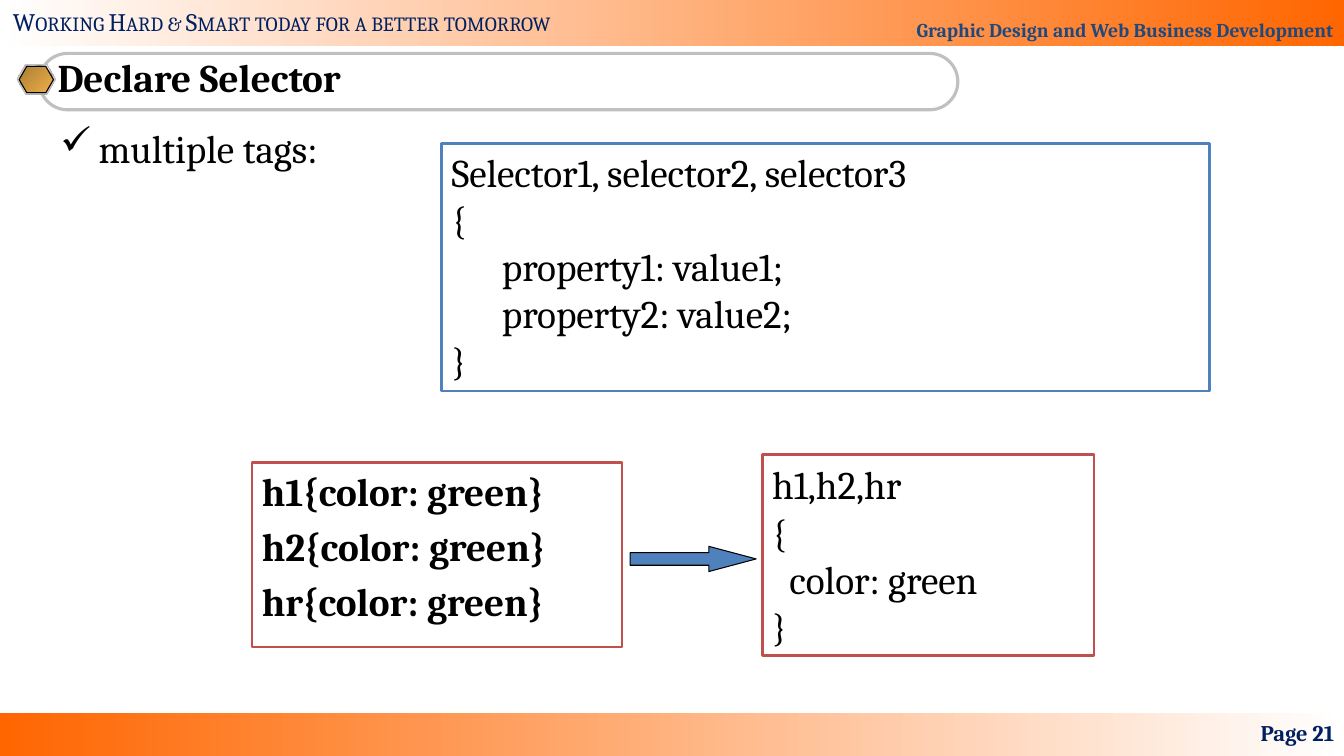
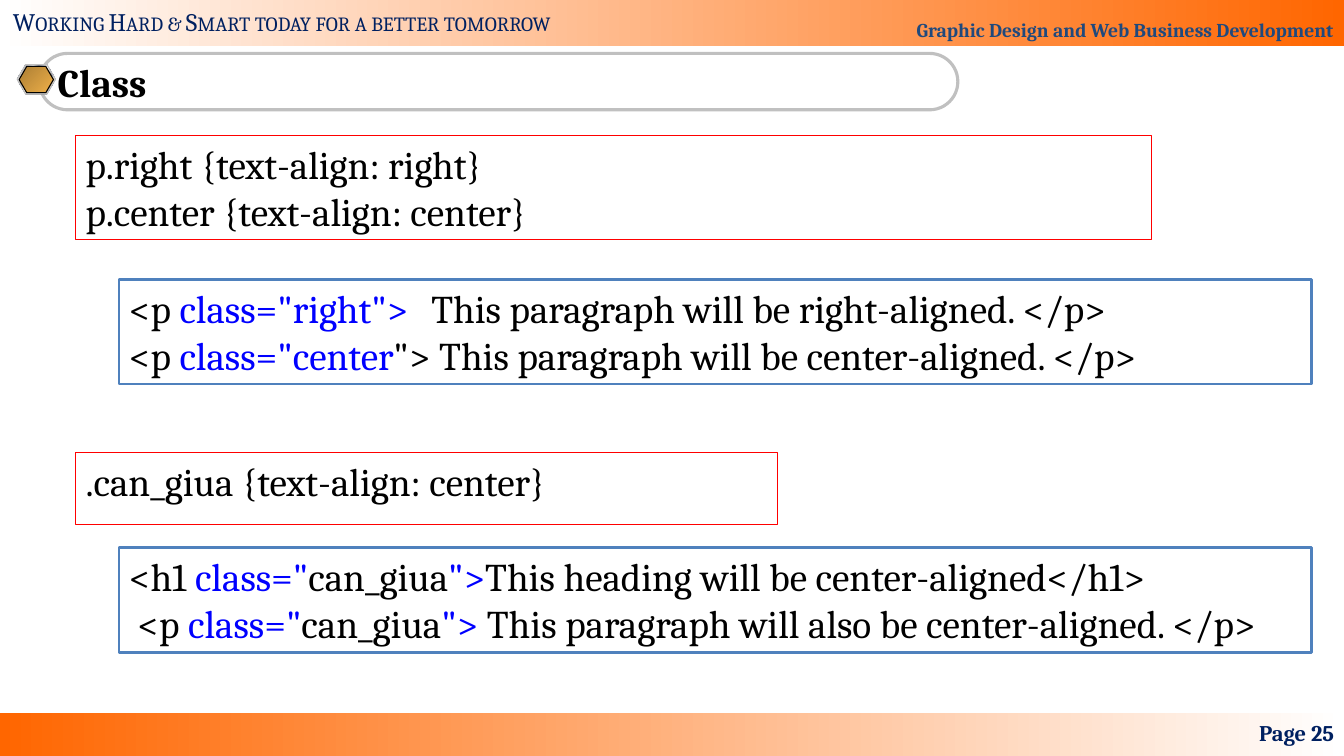
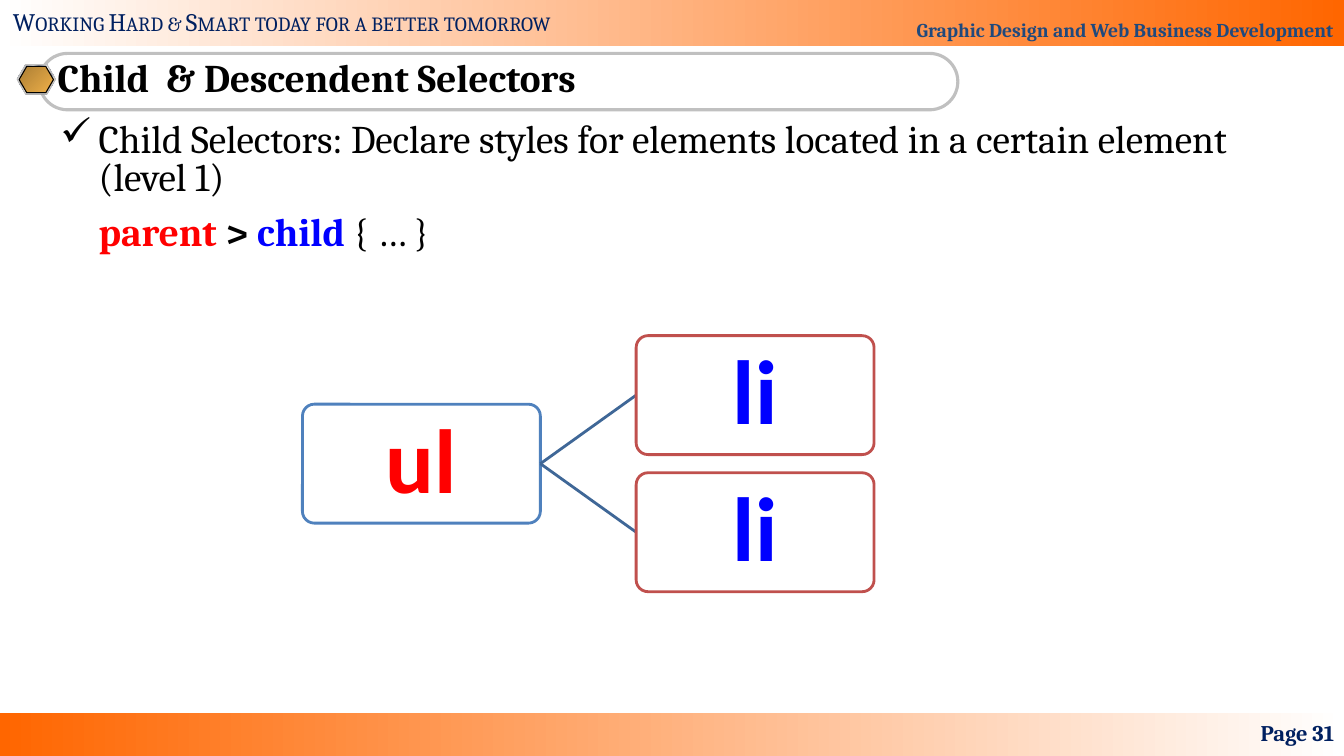
"""Build three lecture slides on CSS selectors."""
from lxml.etree import SubElement
from pptx import Presentation
from pptx.dml.color import RGBColor
from pptx.enum.shapes import MSO_CONNECTOR, MSO_SHAPE as SHAPE
from pptx.enum.text import MSO_ANCHOR as ANCHOR, PP_ALIGN as ALIGN
from pptx.oxml.ns import qn
from pptx.util import Emu, Pt

PX = 9144
WIDTH, HEIGHT = 1333, 750

WHITE = RGBColor(0xFF, 0xFF, 0xFF)
BLACK = RGBColor(0x00, 0x00, 0x00)
ORANGE = RGBColor(0xFF, 0x66, 0x00)
NAVY = RGBColor(0x00, 0x20, 0x60)
SLATE = RGBColor(0x1F, 0x49, 0x7D)
SILVER = RGBColor(0xC0, 0xC0, 0xC0)
GRAY = RGBColor(0x80, 0x80, 0x80)
PALE = RGBColor(0xE6, 0xE6, 0xE6)
STEEL = RGBColor(0x7D, 0x84, 0x96)
BRONZE = RGBColor(0xAB, 0x7E, 0x34)
GOLD = RGBColor(0xEF, 0xB0, 0x49)
BLUE = RGBColor(0x4F, 0x81, 0xBD)
BRICK = RGBColor(0xC0, 0x50, 0x4D)
EDGE = RGBColor(0x3F, 0x67, 0x97)
RED = RGBColor(0xFF, 0x00, 0x00)
LINK = RGBColor(0x00, 0x00, 0xFF)

HEADER = "Graphic Design and Web Business Development"
TAGLINE = "Working Hard & Smart today for a better tomorrow"
METAL = [(0, PALE), (7, STEEL), (26, PALE), (34, STEEL), (46, PALE), (50, WHITE),
         (54, PALE), (66, STEEL), (74, PALE), (93, STEEL), (100, PALE)]

BODY = (50, 118, 1250, 574)
MULTIPLE_TAGS = ["multiple tags:"]
SYNTAX = ["Selector1, selector2, selector3", "{", "\tproperty1: value1;",
          "\tproperty2: value2;", "}"]
SEPARATE_RULES = ["h1{color: green}", "h2{color: green}", "hr{color: green}"]
GROUPED_RULE = ["h1,h2,hr", "{", "  color: green", "}"]

ALIGN_RULES = ["p.right {text-align: right}", "p.center {text-align: center}"]
ALIGN_USAGE = [
    ["<p ", ('class="right">', LINK), " \tThis paragraph will be right-aligned. </p>"],
    ["<p ", ('class="center', LINK), '"> This paragraph will be center-aligned. </p>'],
]
SHARED_RULE = [".can_giua {text-align: center}"]
SHARED_USAGE = [
    ["<h1 ", ('class="', LINK), "can_giua", ('">', LINK),
     "This heading will be center-aligned</h1>"],
    [" <p ", ('class="', LINK), "can_giua", ('"> ', LINK),
     "This paragraph will also be center-aligned. </p>"],
]
CLASS_BOXES = [
    ((75, 134, 1067, 104), ALIGN_RULES, None, RED, 0.75, ANCHOR.MIDDLE),
    ((118, 277, 1183, 104), ALIGN_USAGE, WHITE, BLUE, 2, ANCHOR.MIDDLE),
    ((75, 449, 696, 71), SHARED_RULE, None, RED, 0.75, ANCHOR.TOP),
    ((118, 543, 1183, 104), SHARED_USAGE, WHITE, BLUE, 2, ANCHOR.MIDDLE),
]

CHILD_SELECTORS = [
    "Child Selectors: Declare styles for elements located in a certain element (level 1)",
    [("parent", RED, True), (" > ", BLACK, True), ("child ", LINK, True), "{ … }"],
]
NODE_WIDTH, NODE_HEIGHT = 236, 118
PARENT_NODE = ("ul", 300, 401, BLUE, RED)
CHILD_NODES = [("li", 631, top, BRICK, LINK) for top in (333, 469)]


def px(*lengths):
    return [Emu(length * PX) for length in lengths]


def write(shape, lines, size=28, color=BLACK, bold=False, font="Cambria",
          align=ALIGN.LEFT, anchor=ANCHOR.TOP, spacing=None, gap=0):
    """Fill a shape with lines; each is a string or a list of (text, colour, bold) pieces."""
    frame = shape.text_frame
    frame.word_wrap = True
    frame.vertical_anchor = anchor
    for index, line in enumerate(lines):
        paragraph = frame.paragraphs[0] if index == 0 else frame.add_paragraph()
        paragraph.alignment = align
        if spacing:
            paragraph.line_spacing = spacing
        if index and gap:
            paragraph.space_before = Pt(gap)
        for piece in [line] if isinstance(line, str) else line:
            text, *style = (piece,) if isinstance(piece, str) else piece
            run = paragraph.add_run()
            run.text = text
            run.font.name = font
            run.font.size = Pt(size)
            run.font.color.rgb = style[0] if style else color
            run.font.bold = style[1] if len(style) > 1 else bold
    return frame


def add_shape(slide, kind, box, fill=None, line=None, weight=0.75):
    shape = slide.shapes.add_shape(kind, *px(*box))
    shape.shadow.inherit = False
    if fill is None:
        shape.fill.background()
    else:
        shape.fill.solid()
        shape.fill.fore_color.rgb = fill
    if line is None:
        shape.line.fill.background()
    else:
        shape.line.color.rgb = line
        shape.line.width = Pt(weight)
    return shape


def set_gradient(shape, stops, angle=0):
    shape.fill.gradient()
    shape.fill.gradient_angle = -angle % 360
    stop_list = shape._element.spPr.find(qn("a:gradFill")).find(qn("a:gsLst"))
    for old_stop in list(stop_list):
        stop_list.remove(old_stop)
    for position, color in stops:
        stop = SubElement(stop_list, qn("a:gs"), pos=str(position * 1000))
        SubElement(stop, qn("a:srgbClr"), val=str(color))


def add_text(slide, box, lines, **style):
    return write(slide.shapes.add_textbox(*px(*box)), lines, **style)


def set_indent(paragraph, bullet=None):
    properties = paragraph._p.get_or_add_pPr()
    margin = 38 * PX
    properties.set("marL", str(margin))
    properties.set("indent", str(-margin if bullet else 0))
    if bullet:
        SubElement(properties, qn("a:buChar"), char=bullet)


def add_hexagon(slide, box, fill, line=None, stops=None):
    hexagon = add_shape(slide, SHAPE.HEXAGON, box, fill, line)
    hexagon.adjustments[0] = 0.29
    if stops:
        set_gradient(hexagon, stops, 45)


def new_slide(presentation, title, page, title_spacing=None):
    slide = presentation.slides.add_slide(presentation.slide_layouts[6])
    footer = add_shape(slide, SHAPE.RECTANGLE, (0, 707, WIDTH, 43), ORANGE)
    set_gradient(footer, [(0, ORANGE), (100, WHITE)])
    header = add_shape(slide, SHAPE.RECTANGLE, (0, 0, WIDTH, 46), ORANGE)
    set_gradient(header, [(0, WHITE), (100, ORANGE)])
    write(header, [HEADER], 14, SLATE, True, align=ALIGN.RIGHT,
          anchor=ANCHOR.BOTTOM, spacing=1.8)
    tagline = add_text(slide, (3, 1, 590, 40), [TAGLINE], size=18, color=NAVY)
    tagline.paragraphs[0].runs[0].font._element.set("cap", "small")

    pill = add_shape(slide, SHAPE.ROUNDED_RECTANGLE, (39, 53, 911, 56), None, SILVER, 2.25)
    pill.adjustments[0] = 0.5
    write(pill, [title], bold=True, anchor=ANCHOR.MIDDLE, spacing=title_spacing)
    add_hexagon(slide, (17, 65, 38, 29), GRAY)
    add_hexagon(slide, (17, 64, 38, 29), PALE, SILVER, METAL)
    add_hexagon(slide, (19, 66, 34, 26), GOLD, BLACK, [(0, BRONZE), (100, GOLD)])
    add_text(slide, (1022, 707, 311, 40), [f"Page {page}"], size=16, color=NAVY,
             bold=True, align=ALIGN.RIGHT, anchor=ANCHOR.MIDDLE)
    return slide


def add_code(slide, box, lines, fill, line, weight=2, anchor=ANCHOR.TOP, **style):
    shape = add_shape(slide, SHAPE.RECTANGLE, box, fill, line, weight)
    write(shape, lines, anchor=anchor, **style)


def add_node(slide, label, left, top, line, color):
    node = add_shape(slide, SHAPE.ROUNDED_RECTANGLE,
                     (left, top, NODE_WIDTH, NODE_HEIGHT), WHITE, line, 2)
    node.adjustments[0] = 0.1
    frame = write(node, [label], 65, color, True, "Calibri", ALIGN.CENTER,
                  ANCHOR.MIDDLE, 0.9)
    inset = Emu(5 * PX)
    frame.margin_left = frame.margin_right = inset
    frame.margin_top = frame.margin_bottom = inset


def add_edge(slide, start, end):
    edge = slide.shapes.add_connector(MSO_CONNECTOR.STRAIGHT, *px(*start, *end))
    edge.line.color.rgb = EDGE
    edge.line.width = Pt(2)
    SubElement(edge._element.spPr, qn("a:effectLst"))


def build_declare_selector(presentation):
    slide = new_slide(presentation, "Declare Selector", 21, 0.8)
    body = add_text(slide, BODY, MULTIPLE_TAGS)
    set_indent(body.paragraphs[0], "✓")
    add_code(slide, (438, 142, 762, 246), SYNTAX, WHITE, BLUE)
    add_code(slide, (250, 459, 367, 183), SEPARATE_RULES, WHITE, BRICK, bold=True, gap=5.6)
    add_code(slide, (756, 451, 329, 199), GROUPED_RULE, WHITE, BRICK, anchor=ANCHOR.MIDDLE)
    arrow = add_shape(slide, SHAPE.RIGHT_ARROW, (625, 542, 125, 25), BLUE, BLACK)
    arrow.adjustments[1] = 1.88


def build_class(presentation):
    slide = new_slide(presentation, "Class", 25)
    for box in CLASS_BOXES:
        add_code(slide, *box)


def build_child_selectors(presentation):
    slide = new_slide(presentation, "Child  & Descendent Selectors", 31, 0.8)
    body = add_text(slide, BODY, CHILD_SELECTORS, gap=5.6)
    explanation, pattern = body.paragraphs
    set_indent(explanation, "✓")
    explanation.line_spacing = 0.8
    set_indent(pattern)
    add_node(slide, *PARENT_NODE)
    middle = NODE_HEIGHT // 2
    start = (PARENT_NODE[1] + NODE_WIDTH, PARENT_NODE[2] + middle)
    for child in CHILD_NODES:
        add_edge(slide, start, (child[1], child[2] + middle))
        add_node(slide, *child)


def main():
    presentation = Presentation()
    presentation.slide_width, presentation.slide_height = px(WIDTH, HEIGHT)
    build_declare_selector(presentation)
    build_class(presentation)
    build_child_selectors(presentation)
    presentation.save("out.pptx")


if __name__ == "__main__":
    main()
